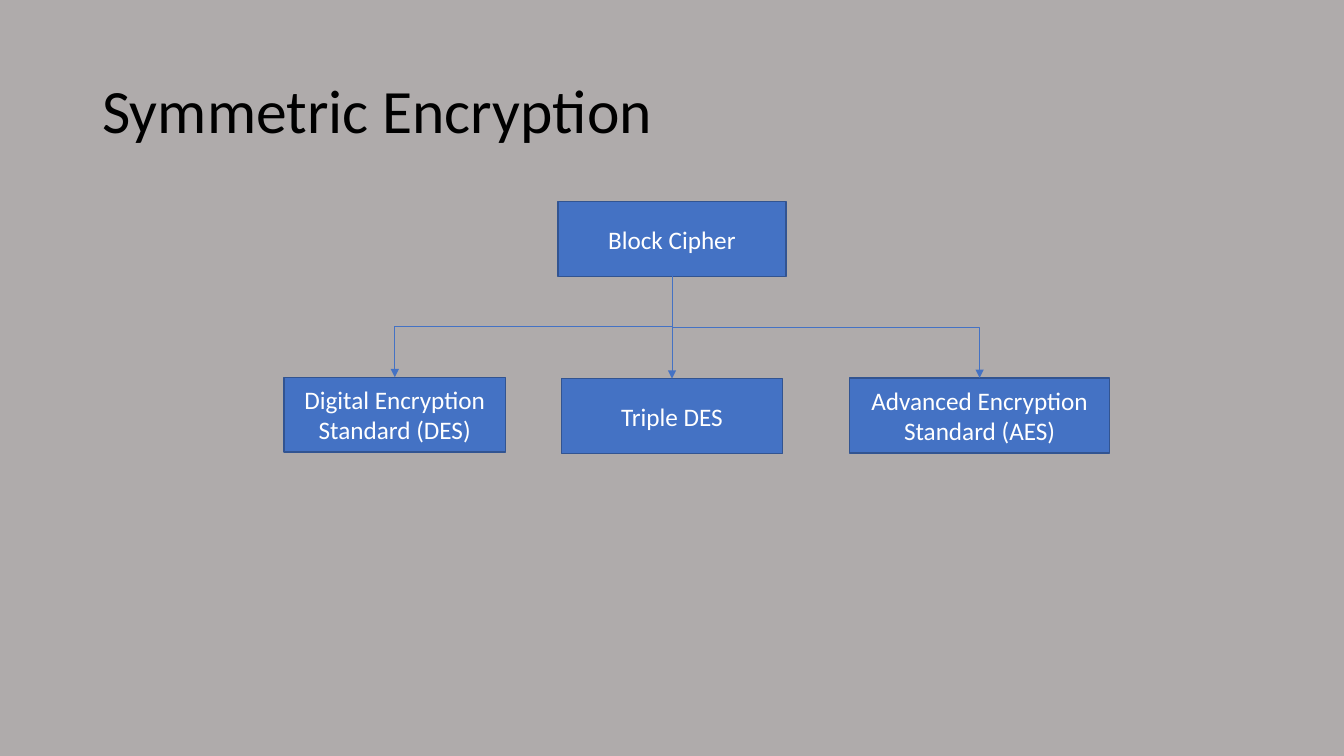
from pptx import Presentation
from pptx.dml.color import RGBColor
from pptx.enum.shapes import MSO_CONNECTOR, MSO_SHAPE
from pptx.enum.text import MSO_ANCHOR, MSO_AUTO_SIZE, PP_ALIGN
from pptx.oxml.ns import qn
from pptx.util import Pt
from lxml import etree

RECTANGLE = MSO_SHAPE.RECTANGLE
STRAIGHT, ELBOW = MSO_CONNECTOR.STRAIGHT, MSO_CONNECTOR.ELBOW
MIDDLE, LEFT, CENTER = MSO_ANCHOR.MIDDLE, PP_ALIGN.LEFT, PP_ALIGN.CENTER
NO_AUTOFIT = MSO_AUTO_SIZE.NONE
TOP_SIDE, BOTTOM_SIDE = 0, 2

FONT = "Calibri"
BACKGROUND, BLUE, OUTLINE = "AFABAB", "4472C4", "325491"
BLACK, WHITE = "000000", "FFFFFF"
BOX_HEIGHT = 53.5

CIPHERS = [
    ("Digital Encryption Standard (DES)", 203, 269.5, 158),
    ("Triple DES", 401, 270.5, 158),
    ("Advanced Encryption Standard (AES)", 607, 270, 185.5),
]


def paint(color_format, color):
    color_format.rgb = RGBColor.from_string(color)


def fill_solid(fill, color):
    fill.solid()
    paint(fill.fore_color, color)


def write_text(shape, text, size, color, align):
    frame = shape.text_frame
    frame.text = text
    frame.word_wrap = True
    frame.vertical_anchor = MIDDLE
    para = frame.paragraphs[0]
    para.alignment = align
    font = para.runs[0].font
    font.name, font.size = FONT, Pt(size)
    paint(font.color, color)


def set_title(page, text):
    title = page.shapes.title
    title.left, title.top = Pt(66), Pt(28.75)
    title.width, title.height = Pt(828), Pt(104.5)
    write_text(title, text, 44, BLACK, LEFT)
    title.text_frame.auto_size = NO_AUTOFIT
    title.text_frame.paragraphs[0].line_spacing = 0.9


def add_box(page, text, left, top, width):
    box = page.shapes.add_shape(
        RECTANGLE, Pt(left), Pt(top), Pt(width), Pt(BOX_HEIGHT))
    box.shadow.inherit = False
    fill_solid(box.fill, BLUE)
    paint(box.line.color, OUTLINE)
    box.line.width = Pt(1)
    write_text(box, text, 18, WHITE, CENTER)
    return box


def turn_downward(arrow):
    start_x, start_y = arrow.begin_x, arrow.begin_y
    across, down = arrow.end_x - start_x, arrow.end_y - start_y
    arrow.left = start_x + (across - down) // 2
    arrow.top = start_y + (down - abs(across)) // 2
    arrow.width, arrow.height = down, abs(across)
    frame = arrow.element.spPr.find(qn("a:xfrm"))
    quarter_turns = 3 if across > 0 else 1
    frame.set("rot", str(quarter_turns * 90 * 60000))
    frame.set("flipH", "1" if across > 0 else "0")
    frame.set("flipV", "0")


def add_arrow(page, parent, child):
    aligned = 2 * parent.left + parent.width == 2 * child.left + child.width
    kind = STRAIGHT if aligned else ELBOW
    arrow = page.shapes.add_connector(kind, 0, 0, 0, 0)
    arrow.begin_connect(parent, BOTTOM_SIDE)
    arrow.end_connect(child, TOP_SIDE)
    if not aligned:
        turn_downward(arrow)
    paint(arrow.line.color, BLUE)
    arrow.line.width = Pt(0.5)
    properties = arrow.element.spPr
    etree.SubElement(properties.find(qn("a:ln")), qn("a:tailEnd"), type="triangle")
    etree.SubElement(properties, qn("a:effectLst"))


def main():
    deck = Presentation()
    deck.slide_width, deck.slide_height = Pt(960), Pt(540)
    page = deck.slides.add_slide(deck.slide_layouts[5])
    fill_solid(page.background.fill, BACKGROUND)
    set_title(page, "Symmetric Encryption")
    block_cipher = add_box(page, "Block Cipher", 398.5, 144, 163)
    boxes = [add_box(page, *cipher) for cipher in CIPHERS]
    for box in boxes:
        add_arrow(page, block_cipher, box)
    deck.save("out.pptx")


if __name__ == "__main__":
    main()
